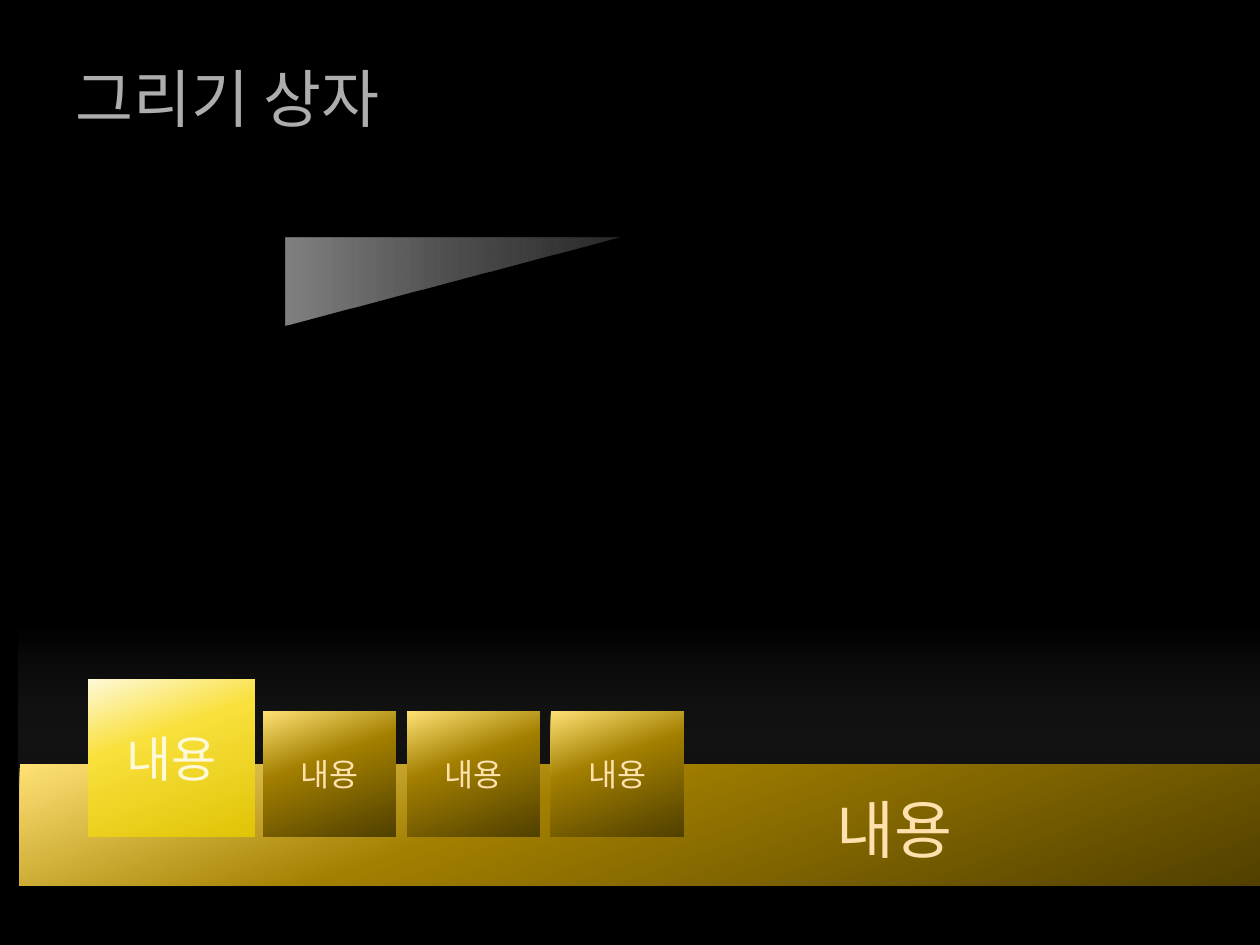
from lxml import etree
from pptx import Presentation
from pptx.dml.color import RGBColor
from pptx.enum.shapes import MSO_SHAPE
from pptx.enum.text import MSO_ANCHOR, PP_ALIGN
from pptx.oxml.ns import qn
from pptx.util import Pt

RECTANGLE = MSO_SHAPE.RECTANGLE
RIGHT_TRIANGLE = MSO_SHAPE.RIGHT_TRIANGLE
MIDDLE = MSO_ANCHOR.MIDDLE
LEFT, CENTER = PP_ALIGN.LEFT, PP_ALIGN.CENTER

# Gradient stops: position %, colour, opacity %
GLOW = [(23, "858585", 0), (100, "262626", 39)]
GOLD = [(0, "FFE174", 100), (40, "A27F00", 100), (100, "514000", 100)]
YELLOW = [(0, "FEF9D8", 100), (37, "F9E03B", 100), (100, "E0C407", 100)]
SHEEN = [(0, "FFFFFF", 15), (50, "FFFFFF", 30), (100, "FFFFFF", 50)]
PALE_GOLD = "FFE1AE"


def add_gradient_shape(kind, left, top, width, height, stops, angle):
    """Add a borderless shape; the angle runs clockwise in degrees."""
    shape = slide.shapes.add_shape(kind, Pt(left), Pt(top), Pt(width), Pt(height))
    shape.shadow.inherit = False
    shape.line.fill.background()
    shape.fill.gradient()
    shape.fill.gradient_angle = 360 - angle
    stop_list = shape.element.spPr.find(qn("a:gradFill")).find(qn("a:gsLst"))
    for old_stop in list(stop_list):
        stop_list.remove(old_stop)
    for position, color, opacity in stops:
        stop = etree.SubElement(stop_list, qn("a:gs"), pos=str(position * 1000))
        rgb = etree.SubElement(stop, qn("a:srgbClr"), val=color)
        if opacity < 100:
            etree.SubElement(rgb, qn("a:alpha"), val=str(opacity * 1000))
    return shape


def write_text(shape, text, size, color, alignment):
    frame = shape.text_frame
    frame.word_wrap = True
    frame.vertical_anchor = MIDDLE
    frame.text = text
    paragraph = frame.paragraphs[0]
    paragraph.alignment = alignment
    paragraph.font.name = "Noto Sans"
    paragraph.font.size = Pt(size)
    paragraph.font.color.rgb = RGBColor.from_string(color)


presentation = Presentation()
presentation.slide_width, presentation.slide_height = Pt(720), Pt(540)
slide = presentation.slides.add_slide(presentation.slide_layouts[5])
slide.background.fill.solid()
slide.background.fill.fore_color.rgb = RGBColor.from_string("000000")

# Title
title = slide.shapes.title
title.left, title.top, title.width, title.height = Pt(36), Pt(21.6), Pt(648), Pt(67.7)
write_text(title, "그리기 상자", 36, "ADADAD", LEFT)

# Glow and gold bar
add_gradient_shape(RECTANGLE, 10.8, 331.9, 709.2, 118.1, GLOW, 90)
add_gradient_shape(RECTANGLE, 11.2, 436.7, 708.8, 69.4, GOLD, 70)

# Small boxes, then the highlighted one
for index in range(3):
    box = add_gradient_shape(RECTANGLE, 150.4 + index * 82.2, 406.5, 75.8, 71.6, GOLD, 70)
    write_text(box, "내용", 18, PALE_GOLD, CENTER)
active_box = add_gradient_shape(RECTANGLE, 50.4, 388.1, 95.2, 90, YELLOW, 70)
write_text(active_box, "내용", 28, "FEF9D8", CENTER)

# Bar caption
caption = slide.shapes.add_textbox(Pt(478.1), Pt(451.4), Pt(155.5), Pt(43.9))
frame = caption.text_frame
frame.margin_left = frame.margin_top = frame.margin_right = frame.margin_bottom = 0
write_text(caption, "내용", 36, PALE_GOLD, LEFT)

# Fading wedge
wedge = add_gradient_shape(RIGHT_TRIANGLE, 234, 65.5, 49.7, 190.8, SHEEN, 90)
wedge.rotation = 90

presentation.save("out.pptx")
